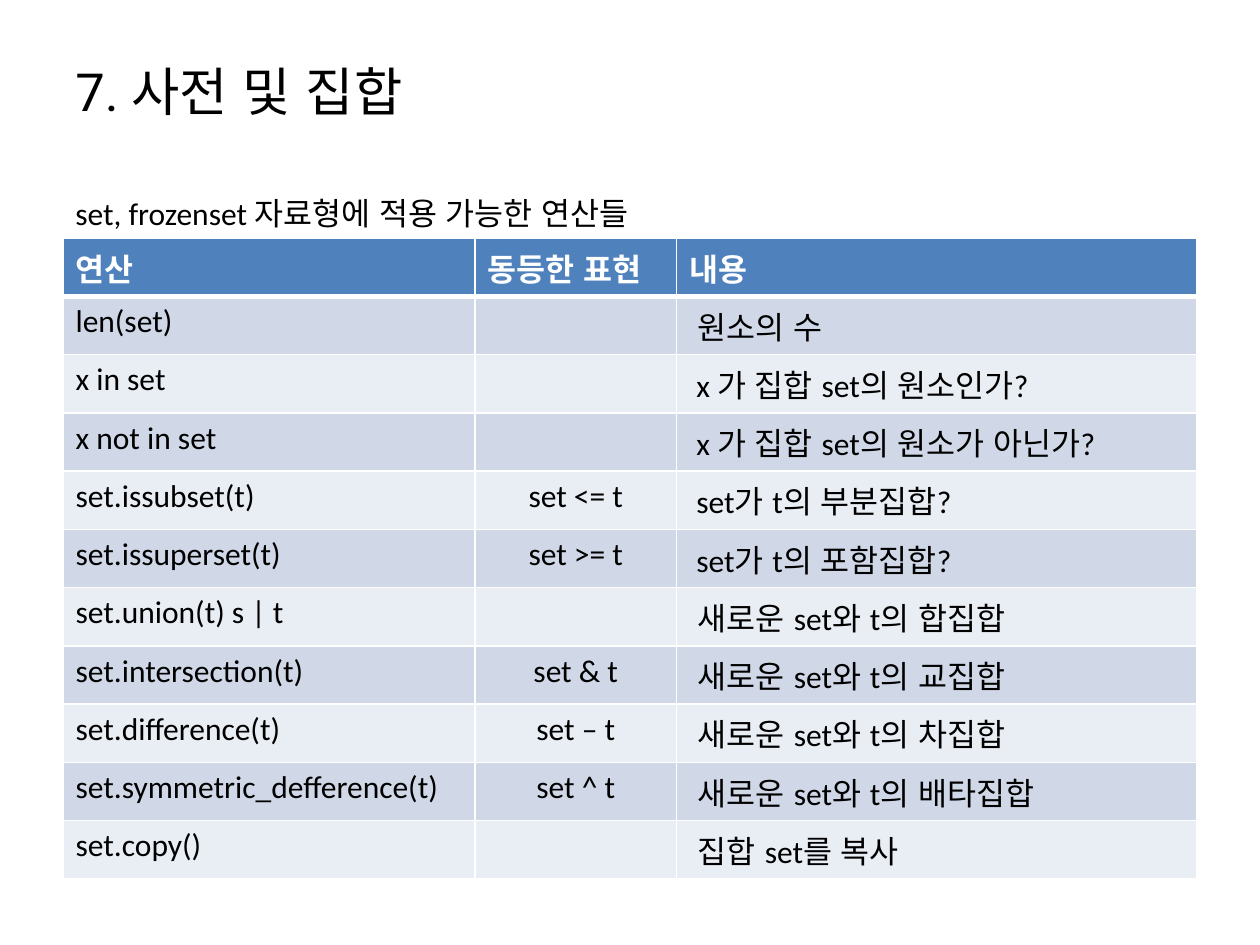
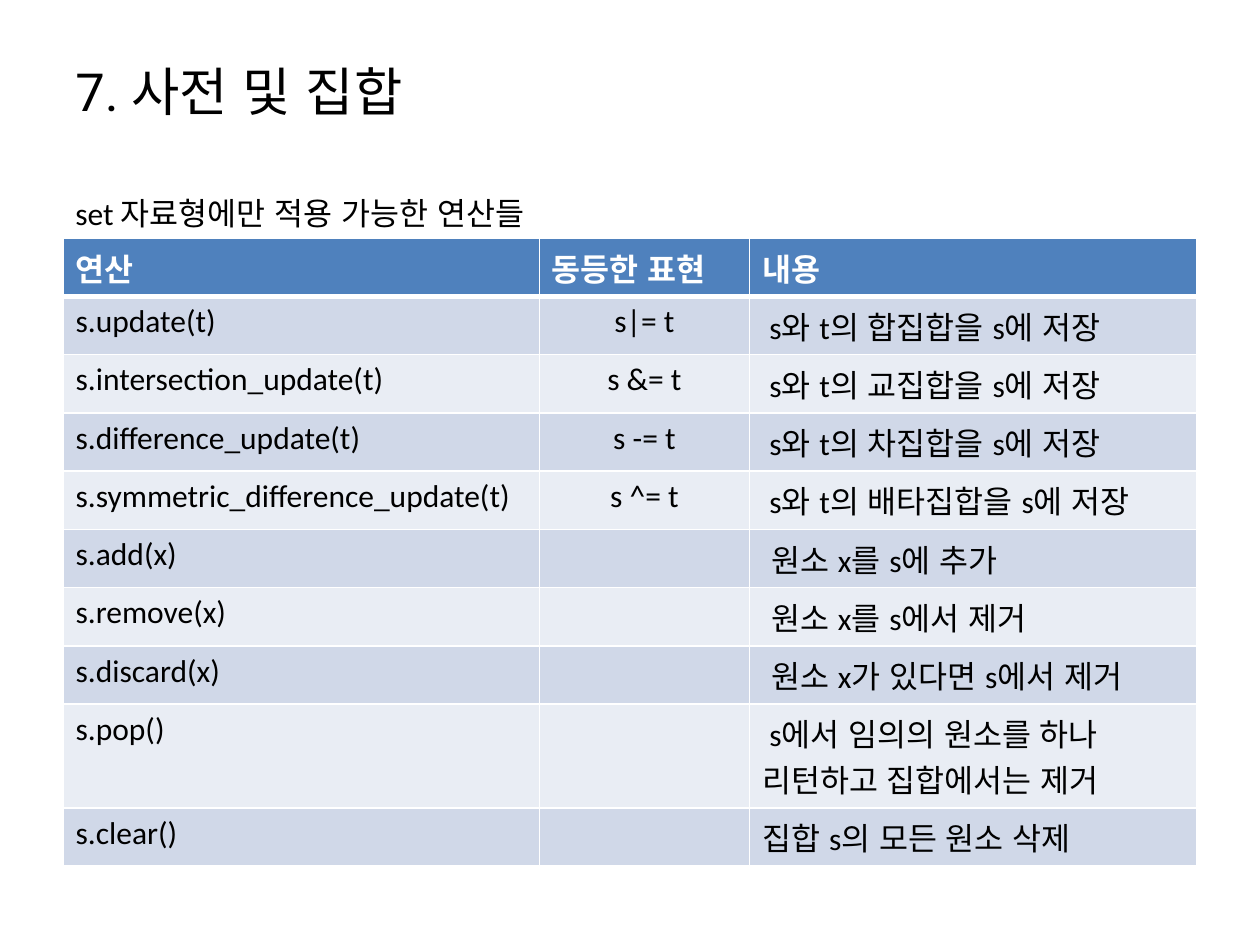
from dataclasses import dataclass

from lxml import etree
from pptx import Presentation
from pptx import util as u
from pptx.dml.color import RGBColor
from pptx.enum import lang, text
from pptx.oxml import ns

TITLE = "7. 사전 및 집합"
HEADINGS = ("연산", "동등한 표현", "내용")

SLIDES = [
    {
        "caption": "set, frozenset 자료형에 적용 가능한 연산들",
        "caption_width": 4.9,
        "columns": (3.27, 1.6, 4.13),
        "tall_rows": (),
        "rows": [
            ("len(set)", "", " 원소의 수"),
            ("x in set", "", " x 가 집합 set의 원소인가?"),
            ("x not in set", "", " x 가 집합 set의 원소가 아닌가?"),
            ("set.issubset(t)", "set <= t", " set가 t의 부분집합?"),
            ("set.issuperset(t)", "set >= t", " set가 t의 포함집합?"),
            ("set.union(t) s | t", "", " 새로운 set와 t의 합집합"),
            ("set.intersection(t)", "set & t", " 새로운 set와 t의 교집합"),
            ("set.difference(t)", "set – t", " 새로운 set와 t의 차집합"),
            ("set.symmetric_defference(t)", "set ^ t", " 새로운 set와 t의 배타집합"),
            ("set.copy()", "", " 집합 set를 복사"),
        ],
    },
    {
        "caption": "set 자료형에만 적용 가능한 연산들",
        "caption_width": 4.08,
        "columns": (3.78, 1.67, 3.55),
        "tall_rows": ("s.pop()",),
        "rows": [
            ("s.update(t)", "s|= t", " s와 t의 합집합을 s에 저장"),
            ("s.intersection_update(t)", "s &= t", " s와 t의 교집합을 s에 저장"),
            ("s.difference_update(t)", "s -= t", " s와 t의 차집합을 s에 저장"),
            ("s.symmetric_difference_update(t)", "s ^= t", " s와 t의 배타집합을 s에 저장"),
            ("s.add(x)", "", " 원소 x를 s에 추가"),
            ("s.remove(x)", "", " 원소 x를 s에서 제거"),
            ("s.discard(x)", "", " 원소 x가 있다면 s에서 제거"),
            ("s.pop()", "", " s에서 임의의 원소를 하나 리턴하고 집합에서는 제거"),
            ("s.clear()", "", "집합 s의 모든 원소 삭제"),
        ],
    },
]


@dataclass(frozen=True)
class Theme:
    ink: str = "000000"
    white: str = "FFFFFF"
    header: str = "4F81BD"
    bands: tuple = ("D0D8E8", "E9EDF4")
    title_font: str = "Roboto"
    body_font: str = "Calibri"
    title_size: int = 30
    body_size: int = 18
    rule: int = 1
    header_rule: int = 3


THEME = Theme()
LEFT, WIDTH = 0.5, 9
TITLE_TOP, TITLE_HEIGHT = 0.3, 0.84
CAPTION_TOP, TABLE_TOP = 1.49, 1.89
ROW_HEIGHT, TALL_ROW_HEIGHT = 0.4625, 0.825
KOREAN = {"language_id": lang.MSO_LANGUAGE_ID.KOREAN}
TITLE_FORMAT = {"name": THEME.title_font, "size": u.Pt(THEME.title_size), **KOREAN}
BODY_FORMAT = {"name": THEME.body_font, "size": u.Pt(THEME.body_size), **KOREAN}


def write(paragraph, words, formats, color=THEME.ink):
    span = paragraph.add_run()
    span.text = words
    for name, value in formats.items():
        setattr(span.font, name, value)
    span.font.color.rgb = RGBColor.from_string(color)


def add_text(page, words, area, formats, frame_formats):
    box = page.shapes.add_textbox(*map(u.Inches, area))
    for name, value in frame_formats.items():
        setattr(box.text_frame, name, value)
    write(box.text_frame.paragraphs[0], words, formats)


def set_borders(cell, **widths):
    """Draw white rules on the sides L, R, T and B, with widths in points."""
    properties = cell._tc.get_or_add_tcPr()
    for position, (side, width) in enumerate(widths.items()):
        line = etree.Element(ns.qn(f"a:ln{side}"), w=str(u.Pt(width)))
        fill = etree.SubElement(line, ns.qn("a:solidFill"))
        etree.SubElement(fill, ns.qn("a:srgbClr"), val=THEME.white)
        properties.insert(position, line)


def add_operations(page, rows, columns, tall_rows):
    lines = [HEADINGS, *rows]
    heights = [TALL_ROW_HEIGHT if line[0] in tall_rows else ROW_HEIGHT for line in lines]
    frame = page.shapes.add_table(
        len(lines), len(columns), u.Inches(LEFT), u.Inches(TABLE_TOP),
        u.Inches(WIDTH), u.Inches(sum(heights)))
    table = frame.table
    for column, width in zip(table.columns, columns):
        column.width = u.Inches(width)
    for row_number, line in enumerate(lines):
        table.rows[row_number].height = u.Inches(heights[row_number])
        is_header = row_number == 0
        color = THEME.white if is_header else THEME.ink
        fill = THEME.header if is_header else THEME.bands[(row_number - 1) % 2]
        top = THEME.header_rule if row_number == 1 else THEME.rule
        bottom = THEME.header_rule if is_header else THEME.rule
        for column_number, words in enumerate(line):
            cell = table.cell(row_number, column_number)
            cell.fill.solid()
            cell.fill.fore_color.rgb = RGBColor.from_string(fill)
            set_borders(cell, L=THEME.rule, R=THEME.rule, T=top, B=bottom)
            para = cell.text_frame.paragraphs[0]
            para.font.size = u.Pt(THEME.body_size)
            if column_number == 1 and not is_header:
                para.alignment = text.PP_ALIGN.CENTER
            if words:
                write(para, words, {**BODY_FORMAT, "bold": is_header}, color)


def main():
    deck = Presentation()
    deck.slide_width, deck.slide_height = u.Inches(10), u.Inches(7.5)
    for content in SLIDES:
        page = deck.slides.add_slide(deck.slide_layouts[6])
        add_text(page, TITLE, (LEFT, TITLE_TOP, WIDTH, TITLE_HEIGHT), TITLE_FORMAT,
                 {"word_wrap": True, "vertical_anchor": text.MSO_ANCHOR.MIDDLE})
        add_operations(page, content["rows"], content["columns"], content["tall_rows"])
        add_text(page, content["caption"],
                 (LEFT, CAPTION_TOP, content["caption_width"], TABLE_TOP - CAPTION_TOP),
                 BODY_FORMAT,
                 {"word_wrap": False, "auto_size": text.MSO_AUTO_SIZE.SHAPE_TO_FIT_TEXT})
    deck.save("out.pptx")


if __name__ == "__main__":
    main()
